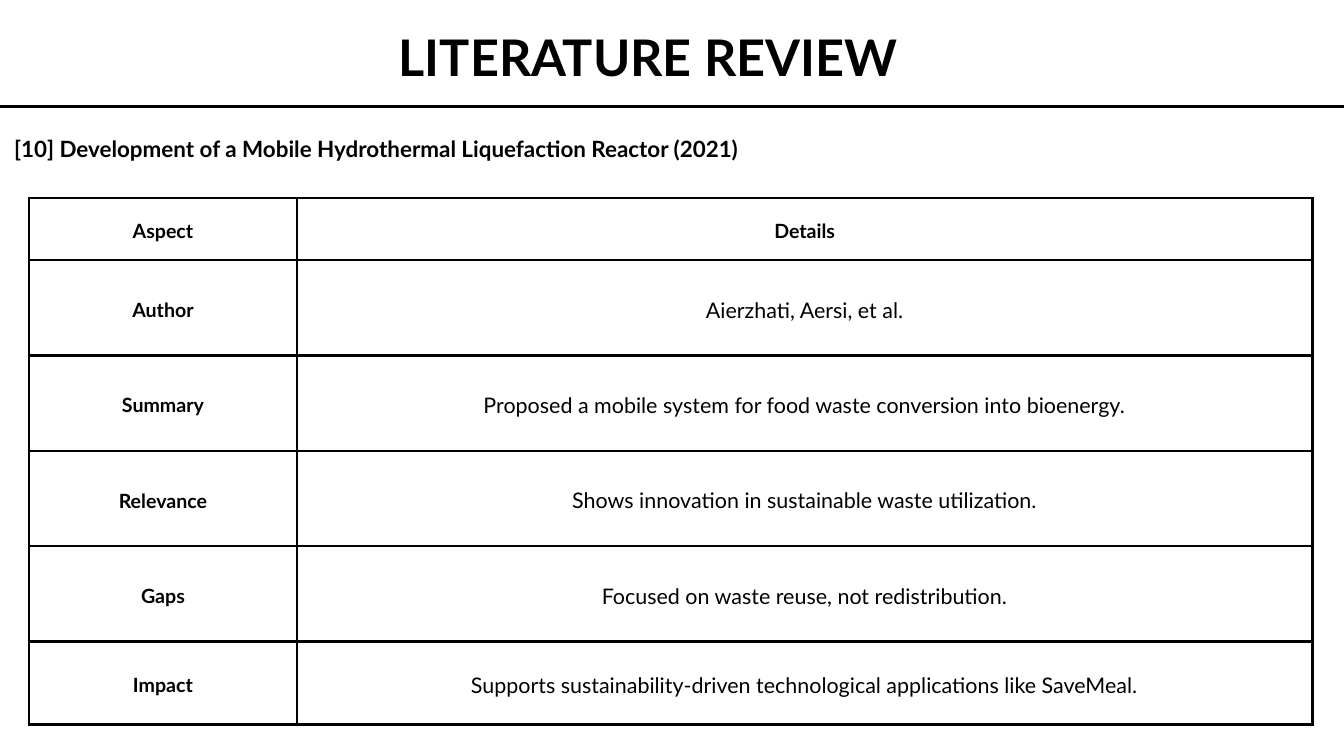
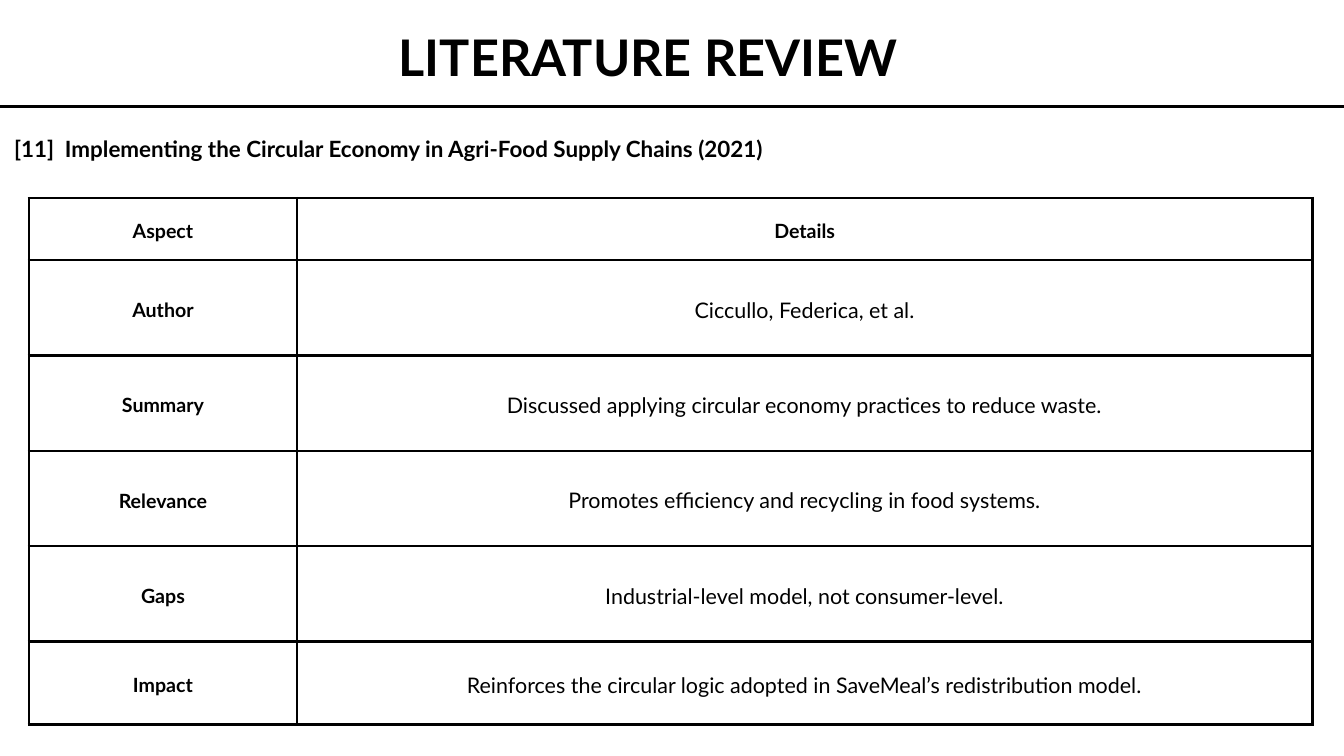
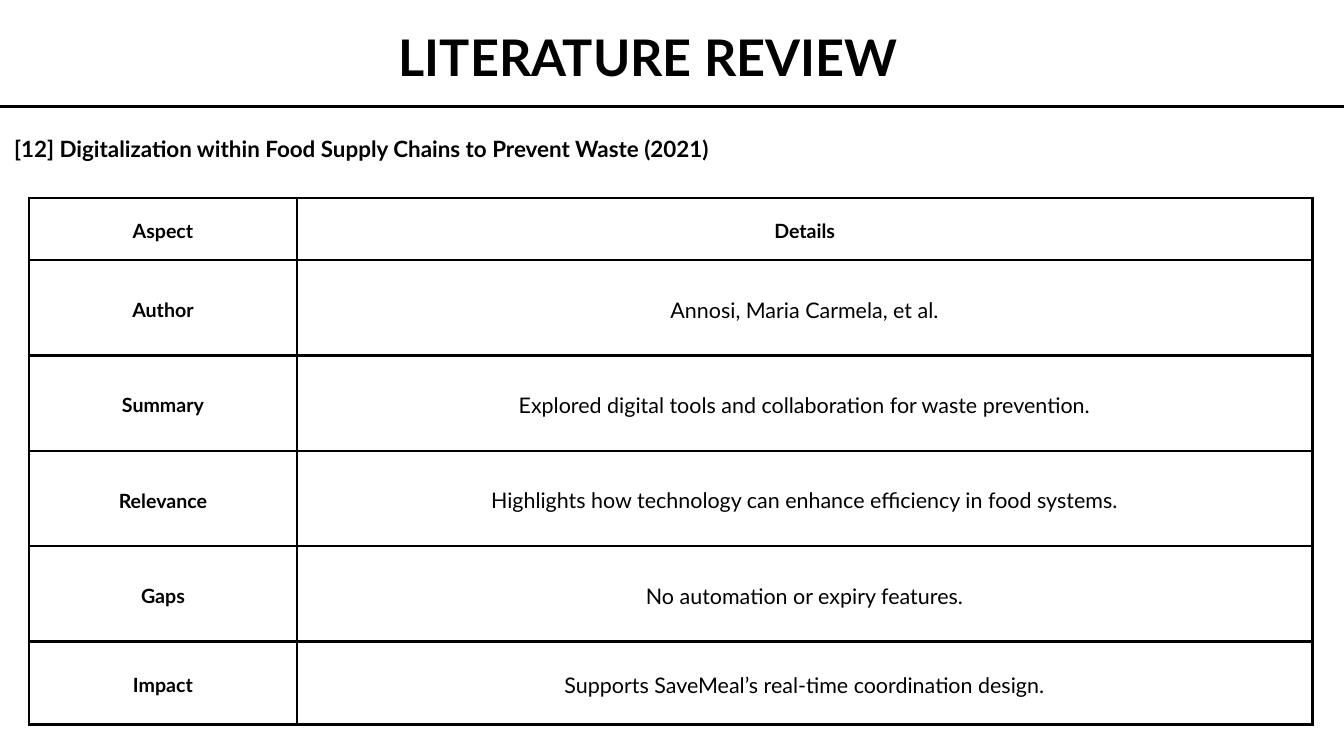
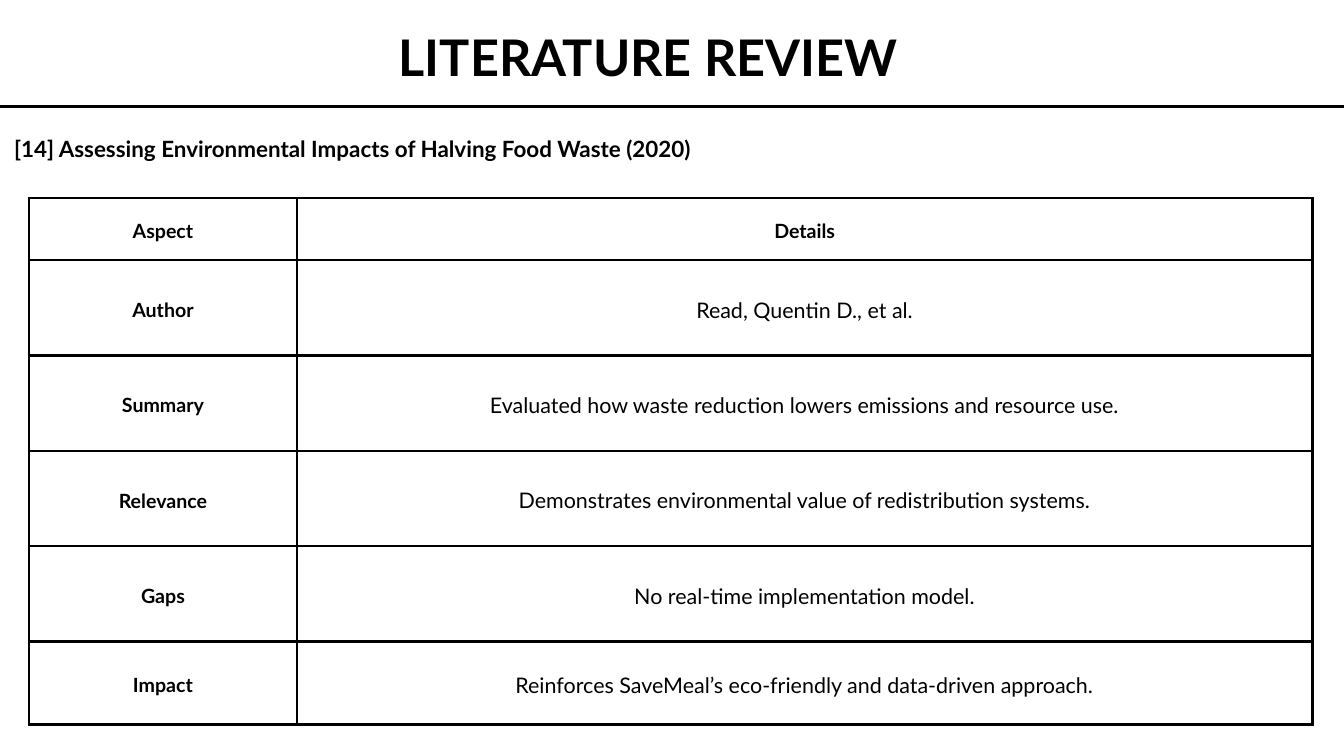
from dataclasses import dataclass

from lxml import etree
from pptx import Presentation
from pptx.dml.color import RGBColor
from pptx.enum.shapes import MSO_CONNECTOR
from pptx.enum.text import MSO_ANCHOR, MSO_AUTO_SIZE, PP_ALIGN
from pptx.oxml.ns import qn
from pptx.util import Inches, Pt

STRAIGHT = MSO_CONNECTOR.STRAIGHT
MIDDLE = MSO_ANCHOR.MIDDLE
FIT_SHAPE = MSO_AUTO_SIZE.SHAPE_TO_FIT_TEXT
LEFT, CENTER = PP_ALIGN.LEFT, PP_ALIGN.CENTER


@dataclass(frozen=True)
class Theme:
    font: str = "Lato"
    ink: str = "000000"
    title_size: int = 54
    heading_size: int = 24
    label_size: int = 21
    detail_size: int = 23
    leading: float = 1.4
    line_width: int = 3
    cell_margin: float = 0.21


THEME = Theme()
TITLE = "LITERATURE REVIEW"
HEADER = ("Aspect", "Details")
ASPECTS = ("Author", "Summary", "Relevance", "Gaps", "Impact")
COLUMN_WIDTHS = (3.99, 15.11)
ROW_HEIGHTS = (0.92, 1.42, 1.42, 1.42, 1.42, 1.23)

REVIEWS = (
    ("[10] Development of a Mobile Hydrothermal Liquefaction Reactor (2021)", (
        "Aierzhati, Aersi, et al.",
        "Proposed a mobile system for food waste conversion into bioenergy.",
        "Shows innovation in sustainable waste utilization.",
        "Focused on waste reuse, not redistribution.",
        "Supports sustainability-driven technological applications like SaveMeal.",
    )),
    ("[11]  Implementing the Circular Economy in Agri-Food Supply Chains (2021)", (
        "Ciccullo, Federica, et al.",
        "Discussed applying circular economy practices to reduce waste.",
        "Promotes efficiency and recycling in food systems.",
        "Industrial-level model, not consumer-level.",
        "Reinforces the circular logic adopted in SaveMeal’s redistribution model.",
    )),
    ("[12] Digitalization within Food Supply Chains to Prevent Waste (2021)", (
        "Annosi, Maria Carmela, et al.",
        "Explored digital tools and collaboration for waste prevention.",
        "Highlights how technology can enhance efficiency in food systems.",
        "No automation or expiry features.",
        "Supports SaveMeal’s real-time coordination design.",
    )),
    ("[14] Assessing Environmental Impacts of Halving Food Waste (2020)", (
        "Read, Quentin D., et al.",
        "Evaluated how waste reduction lowers emissions and resource use.",
        "Demonstrates environmental value of redistribution systems.",
        "No real-time implementation model.",
        "Reinforces SaveMeal’s eco-friendly and data-driven approach.",
    )),
)


def write_text(frame, text, size, bold=True, align=CENTER):
    para = frame.paragraphs[0]
    para.text = text
    para.alignment = align
    para.line_spacing = Pt(round(size * THEME.leading, 1))
    para.font.name = THEME.font
    para.font.size = Pt(size)
    para.font.bold = bold
    para.font.color.rgb = RGBColor.from_string(THEME.ink)


def add_text(page, text, left, top, width, height, size, align):
    box = page.shapes.add_textbox(Inches(left), Inches(top), Inches(width), Inches(height))
    frame = box.text_frame
    frame.word_wrap = True
    frame.auto_size = FIT_SHAPE
    frame.margin_left = frame.margin_right = frame.margin_top = frame.margin_bottom = 0
    write_text(frame, text, size, align=align)


def add_title_rule(page):
    rule = page.shapes.add_connector(
        STRAIGHT, Inches(-0.59), Inches(1.59), Inches(20.59), Inches(1.59))
    rule.line.color.rgb = RGBColor.from_string(THEME.ink)
    rule.line.width = Pt(THEME.line_width)
    etree.SubElement(rule._element.spPr, qn("a:effectLst"))


def add_borders(cell):
    properties = cell._tc.get_or_add_tcPr()
    for position, side in enumerate(("a:lnL", "a:lnR", "a:lnT", "a:lnB")):
        border = etree.Element(qn(side), w=str(Pt(THEME.line_width)))
        fill = etree.SubElement(border, qn("a:solidFill"))
        etree.SubElement(fill, qn("a:srgbClr"), val=THEME.ink)
        properties.insert(position, border)


def style_cell(cell, text, is_detail):
    cell.fill.background()
    add_borders(cell)
    cell.vertical_anchor = MIDDLE
    margin = Inches(THEME.cell_margin)
    cell.margin_left = cell.margin_right = cell.margin_top = cell.margin_bottom = margin
    size = THEME.detail_size if is_detail else THEME.label_size
    write_text(cell.text_frame, text, size, bold=not is_detail)


def add_review_table(page, details):
    rows = [HEADER, *zip(ASPECTS, details)]
    table = page.shapes.add_table(
        len(rows), len(HEADER), Inches(0.43), Inches(2.95),
        Inches(sum(COLUMN_WIDTHS)), Inches(sum(ROW_HEIGHTS))).table
    table.first_row = table.horz_banding = False
    for column, width in zip(table.columns, COLUMN_WIDTHS):
        column.width = Inches(width)
    for row, height in zip(table.rows, ROW_HEIGHTS):
        row.height = Inches(height)
    for row_index, texts in enumerate(rows):
        for column_index, text in enumerate(texts):
            is_detail = row_index > 0 and column_index > 0
            style_cell(table.cell(row_index, column_index), text, is_detail)


def add_review_page(deck, heading, details):
    page = deck.slides.add_slide(deck.slide_layouts[6])
    add_title_rule(page)
    add_review_table(page, details)
    add_text(page, TITLE, 5.75, 0.24, 7.79, 1.17, THEME.title_size, CENTER)
    add_text(page, heading, 0.21, 1.95, 19.53, 0.53, THEME.heading_size, LEFT)


def main():
    deck = Presentation()
    deck.slide_width = Inches(20)
    deck.slide_height = Inches(11.25)
    for heading, details in REVIEWS:
        add_review_page(deck, heading, details)
    deck.save("out.pptx")


if __name__ == "__main__":
    main()
